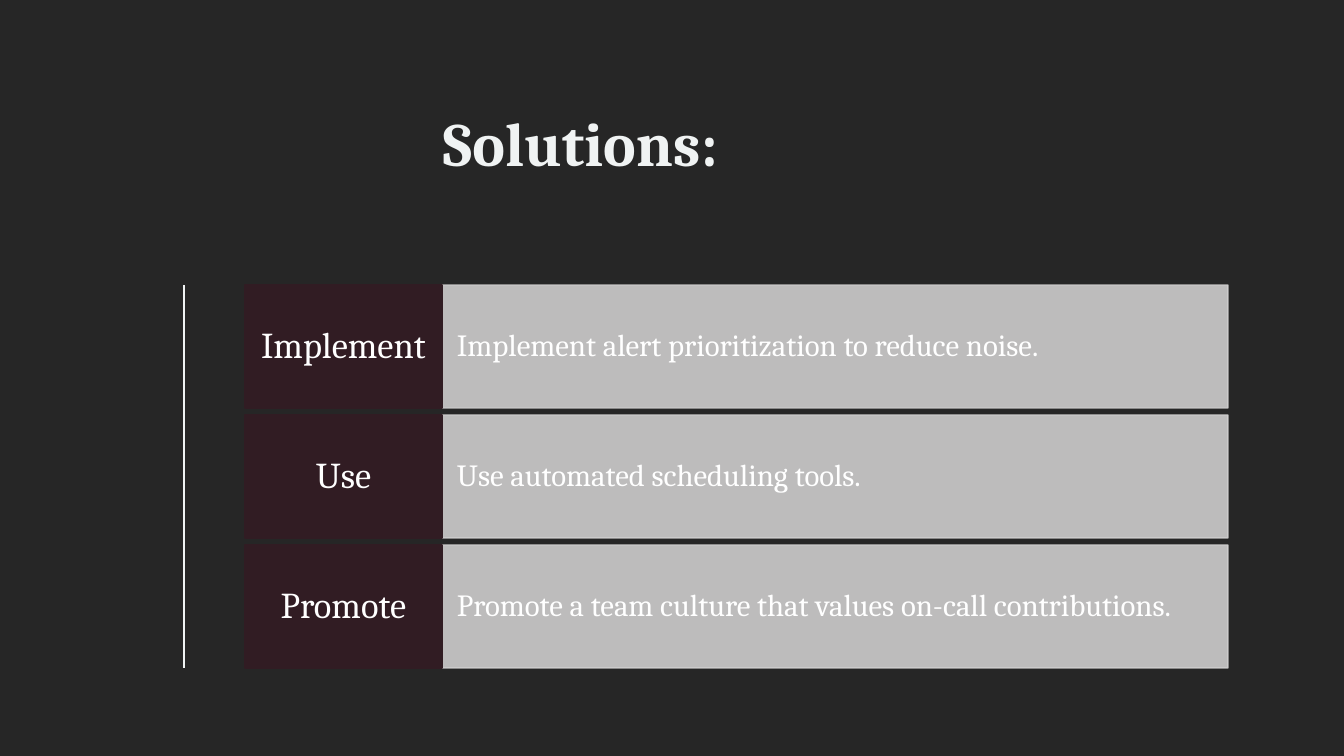
import pptx
import pptx.dml.color
import pptx.enum.shapes
import pptx.enum.text
import pptx.oxml
import pptx.oxml.ns
import pptx.util

RGBColor = pptx.dml.color.RGBColor
Align = pptx.enum.text.PP_ALIGN
Anchor = pptx.enum.text.MSO_ANCHOR

BACKGROUND = RGBColor(0x26, 0x26, 0x26)
PALE = RGBColor(0xF0, 0xF3, 0xF3)
GREY = RGBColor(0xCE, 0xCD, 0xCD)
WINE = RGBColor(0x31, 0x1C, 0x23)
WHITE = RGBColor(0xFF, 0xFF, 0xFF)

SOLUTIONS = [
    ("Implement", "Implement alert prioritization to reduce noise."),
    ("Use", "Use automated scheduling tools."),
    ("Promote", "Promote a team culture that values on-call contributions."),
]
ROWS_TOP = 285
ROW_HEIGHT = 123
ROW_PITCH = 130
LABEL_LEFT = 245
LABEL_WIDTH = 197
DETAIL_WIDTH = 786


def px(length):
    return round(length * 914400 / 100.8)


class SlideBuilder:
    font = "Cambria"
    line_spacing = 0.9

    def __init__(self, slide):
        self.slide = slide

    def background(self, color):
        fill = self.slide.background.fill
        fill.solid()
        fill.fore_color.rgb = color

    def fill_text(self, shape, text, size, color, align, anchor, insets, bold=False):
        frame = shape.text_frame
        frame.word_wrap = True
        frame.vertical_anchor = anchor
        left, top, right, bottom = (px(inset) for inset in insets)
        frame.margin_left, frame.margin_top = left, top
        frame.margin_right, frame.margin_bottom = right, bottom
        paragraph = frame.paragraphs[0]
        paragraph.alignment = align
        paragraph.line_spacing = self.line_spacing
        run = paragraph.add_run()
        run.text = text
        run.font.name = self.font
        run.font.size = pptx.util.Pt(size)
        run.font.bold = bold
        run.font.color.rgb = color

    def text(self, left, top, width, height, *style, **options):
        box = self.slide.shapes.add_textbox(px(left), px(top), px(width), px(height))
        self.fill_text(box, *style, **options)

    def panel(self, left, top, width, height, color, opacity=100):
        panel = self.slide.shapes.add_shape(
            pptx.enum.shapes.MSO_SHAPE.RECTANGLE,
            px(left), px(top), px(width), px(height),
        )
        panel.shadow.inherit = False
        panel.fill.solid()
        panel.fill.fore_color.rgb = color
        panel.line.color.rgb = color
        panel.line.width = pptx.util.Pt(1)
        if opacity < 100:
            for tint in panel.element.spPr.iter(pptx.oxml.ns.qn("a:srgbClr")):
                alpha = pptx.oxml.parse_xml(
                    f'<a:alpha {pptx.oxml.ns.nsdecls("a")} val="{opacity * 1000}"/>'
                )
                tint.append(alpha)
        return panel

    def line(self, x1, y1, x2, y2, color, width):
        line = self.slide.shapes.add_connector(
            pptx.enum.shapes.MSO_CONNECTOR.STRAIGHT, px(x1), px(y1), px(x2), px(y2)
        )
        line.line.color.rgb = color
        line.line.width = pptx.util.Pt(width)
        line.element.spPr.append(
            pptx.oxml.parse_xml(f'<a:effectLst {pptx.oxml.ns.nsdecls("a")}/>')
        )


def main():
    deck = pptx.Presentation()
    deck.slide_width = px(1344)
    deck.slide_height = px(756)
    builder = SlideBuilder(deck.slides.add_slide(deck.slide_layouts[6]))
    builder.background(BACKGROUND)
    builder.text(161, 97, 839, 151, "Solutions:", 44, PALE, Align.CENTER,
                 Anchor.BOTTOM, (10, 5, 10, 74), bold=True)
    rows_bottom = ROWS_TOP + (len(SOLUTIONS) - 1) * ROW_PITCH + ROW_HEIGHT
    builder.line(184, ROWS_TOP, 184, rows_bottom, PALE, 0.85)
    for index, (action, explanation) in enumerate(SOLUTIONS):
        top = ROWS_TOP + index * ROW_PITCH
        detail = builder.panel(LABEL_LEFT + LABEL_WIDTH, top, DETAIL_WIDTH,
                               ROW_HEIGHT, GREY, opacity=90)
        builder.fill_text(detail, explanation, 22, WHITE, Align.LEFT,
                          Anchor.MIDDLE, (15, 31, 15, 31))
        label = builder.panel(LABEL_LEFT, top, LABEL_WIDTH, ROW_HEIGHT, WINE)
        builder.fill_text(label, action, 26, WHITE, Align.CENTER,
                          Anchor.MIDDLE, (10, 12, 10, 12))
    deck.save("out.pptx")


if __name__ == "__main__":
    main()
